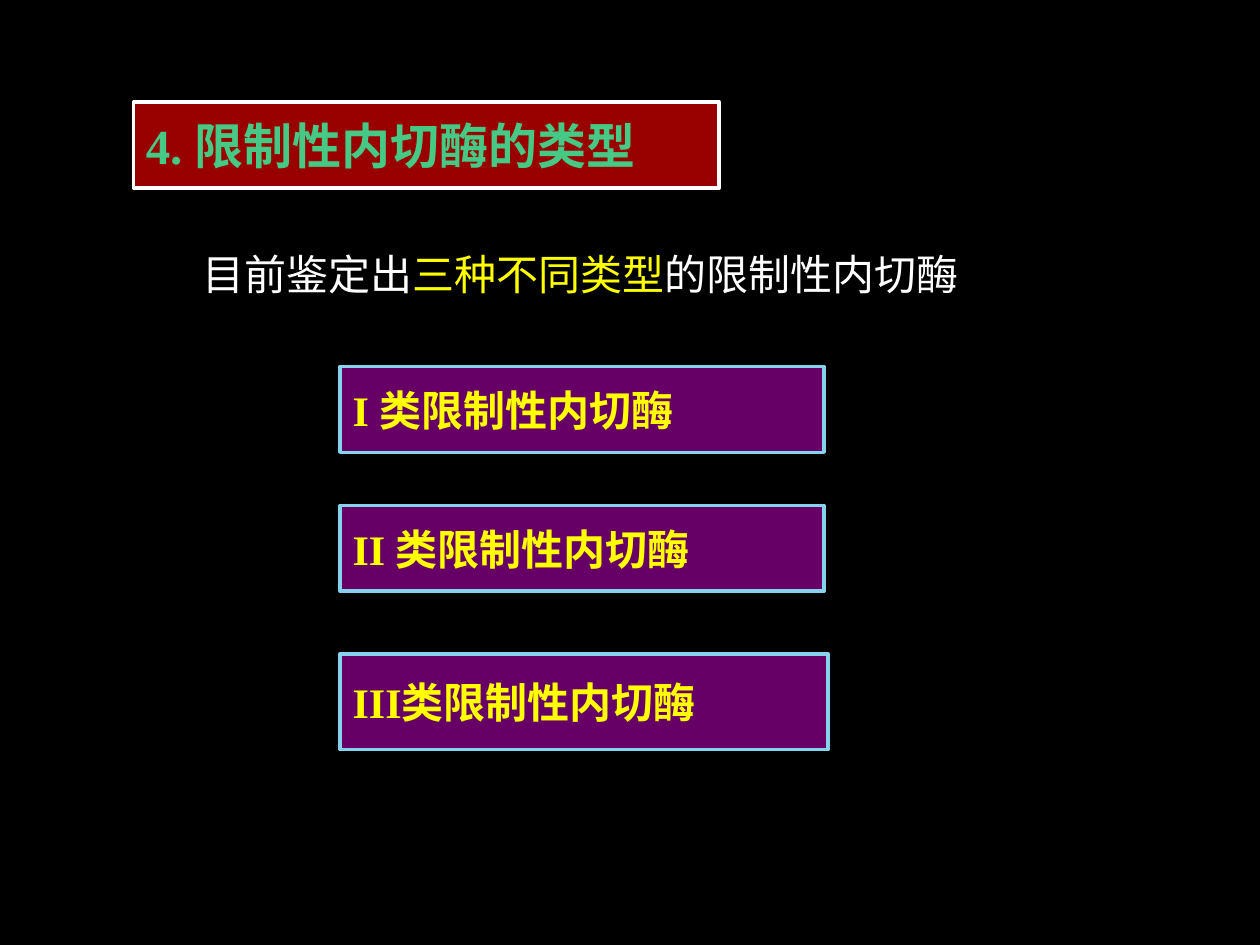
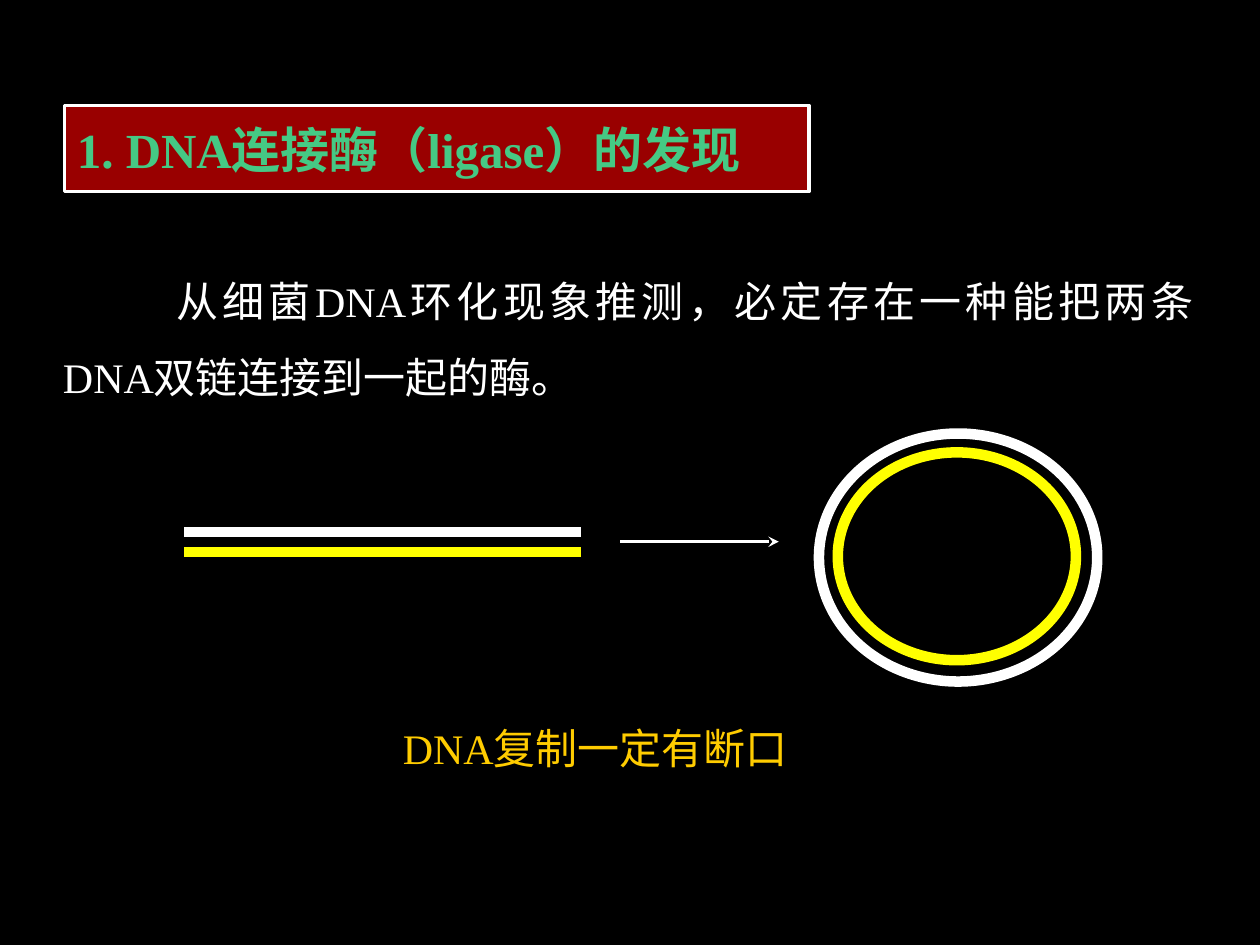
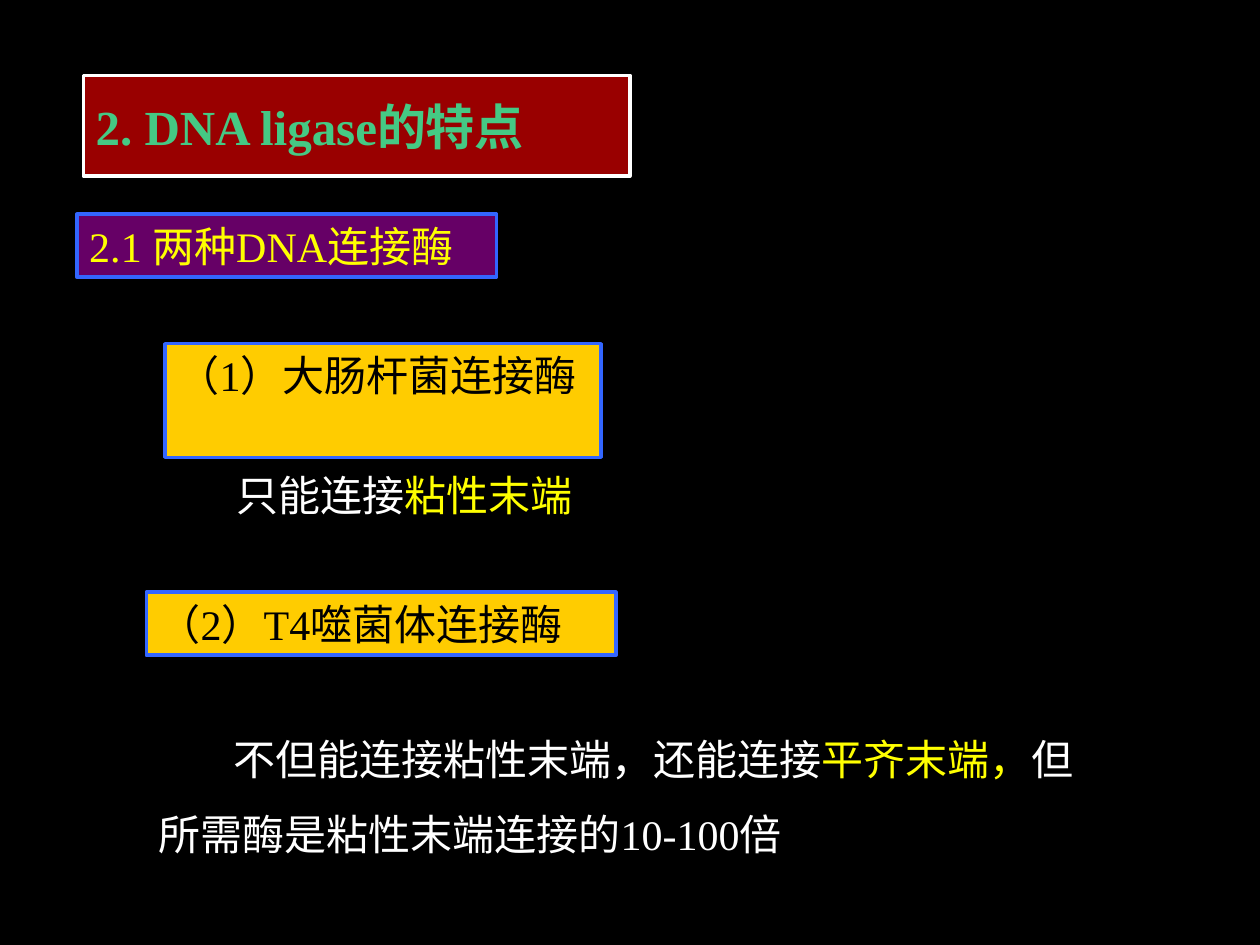
import pptx
import pptx.dml.color
import pptx.enum.shapes
import pptx.enum.text
import pptx.oxml.ns
import pptx.util
from lxml import etree

Cm = pptx.util.Cm
Pt = pptx.util.Pt
RGBColor = pptx.dml.color.RGBColor
Shape = pptx.enum.shapes.MSO_SHAPE
Anchor = pptx.enum.text.MSO_ANCHOR
Align = pptx.enum.text.PP_ALIGN
Fit = pptx.enum.text.MSO_AUTO_SIZE

BLACK = RGBColor(0x00, 0x00, 0x00)
WHITE = RGBColor(0xFF, 0xFF, 0xFF)
YELLOW = RGBColor(0xFF, 0xFF, 0x00)
GOLD = RGBColor(0xFF, 0xCC, 0x00)
GREEN = RGBColor(0x45, 0xC9, 0x84)
RED = RGBColor(0x99, 0x00, 0x00)
PURPLE = RGBColor(0x66, 0x00, 0x66)
SKY = RGBColor(0x86, 0xD1, 0xEC)
BLUE = RGBColor(0x33, 0x66, 0xFF)


class Deck:
    """Hold the shared style and the current slide, and draw elements on it."""

    face = "Times New Roman"
    size = 24
    edge = 2

    def __init__(self):
        self.show = pptx.Presentation()
        self.show.slide_width = Cm(25.4)
        self.show.slide_height = Cm(19.05)

    def page(self):
        self.slide = self.show.slides.add_slide(self.show.slide_layouts[6])
        fill = self.slide.background.fill
        fill.solid()
        fill.fore_color.rgb = BLACK

    def words(self, frame, parts, color, size=size, bold=False):
        para = frame.paragraphs[0]
        para.alignment = Align.LEFT
        font = para.font
        font.name, font.size, font.bold = self.face, Pt(size), bold
        if isinstance(parts, str):
            parts = [(parts, color)]
        for part, tint in parts:
            run = para.add_run()
            run.text = part
            run.font.color.rgb = tint
        return para

    def form(self, kind, box, line, width=edge, fill=None):
        shape = self.slide.shapes.add_shape(kind, *map(Cm, box))
        shape.shadow.inherit = False
        shape.line.color.rgb = line
        shape.line.width = Pt(width)
        if fill is None:
            shape.fill.background()
        else:
            shape.fill.solid()
            shape.fill.fore_color.rgb = fill
        return shape

    def panel(self, box, text, color, fill, line, size=size, bold=True):
        frame = self.form(Shape.RECTANGLE, box, line, fill=fill).text_frame
        frame.word_wrap = True
        frame.vertical_anchor = Anchor.MIDDLE
        self.words(frame, text, color, size, bold)
        return frame

    def title(self, box, text):
        self.panel(box, text, GREEN, RED, WHITE, size=28)

    def label(self, box, text, color, fill, wrap=False):
        frame = self.panel(box, text, color, fill, BLUE, bold=False)
        frame.vertical_anchor = Anchor.TOP
        frame.word_wrap = wrap
        frame.auto_size = Fit.SHAPE_TO_FIT_TEXT

    def text(self, box, parts, color=WHITE, wrap=True):
        frame = self.slide.shapes.add_textbox(*map(Cm, box)).text_frame
        frame.word_wrap = wrap
        frame.auto_size = Fit.SHAPE_TO_FIT_TEXT
        return self.words(frame, parts, color)

    def body(self, box, parts, indent, align=Align.LEFT):
        para = self.text(box, parts)
        para.alignment = align
        para.line_spacing = 1.5
        para._p.get_or_add_pPr().set("indent", str(Cm(indent)))

    def ring(self, box, color):
        self.form(Shape.OVAL, box, color, width=6)

    def line(self, left, right, top, color, width=6, head=None):
        kind = pptx.enum.shapes.MSO_CONNECTOR.STRAIGHT
        link = self.slide.shapes.add_connector(
            kind, Cm(left), Cm(top), Cm(right), Cm(top))
        link.line.color.rgb = color
        link.line.width = Pt(width)
        qn = pptx.oxml.ns.qn
        if head:
            etree.SubElement(link.line._get_or_add_ln(), qn("a:tailEnd"), type=head)
        etree.SubElement(link._element.spPr, qn("a:effectLst"))


def types(deck):
    deck.page()
    deck.title((2.69, 2.06, 11.81, 1.73), "4. 限制性内切酶的类型")
    deck.text((3.84, 4.88, 15.75, 1.27), [
        ("目前鉴定出", WHITE), ("三种不同类型", YELLOW),
        ("的限制性内切酶", WHITE)], wrap=False)
    for mark, top, width, height in (
            ("I ", 7.39, 9.75, 1.73),
            ("II ", 10.19, 9.75, 1.73),
            ("III", 13.18, 9.83, 1.93)):
        deck.panel((6.86, top, width, height), mark + "类限制性内切酶",
                   YELLOW, PURPLE, SKY)


def finding(deck):
    deck.page()
    deck.title((1.3, 2.13, 15.01, 1.73), "1. DNA连接酶（ligase）的发现")
    deck.body((1.02, 4.93, 23.29, 3.3),
              "从细菌DNA环化现象推测，必定存在一种能把两条DNA双链连接到一起的酶。",
              2.28, Align.JUSTIFY)
    deck.ring((16.51, 8.74, 5.61, 5), WHITE)
    deck.ring((16.89, 9.12, 4.8, 4.19), YELLOW)
    for top, color in ((10.72, WHITE), (11.13, YELLOW)):
        deck.line(3.71, 11.71, top, color)
    deck.line(12.5, 15.7, 10.92, WHITE, deck.edge, "stealth")
    deck.text((7.87, 14.45, 8.48, 1.27), "DNA复制一定有断口", GOLD, wrap=False)


def traits(deck):
    deck.page()
    deck.title((1.68, 1.52, 11.02, 2.03), "2. DNA ligase的特点")
    deck.label((1.55, 4.32, 8.46, 1.27), "2.1 两种DNA连接酶", YELLOW, PURPLE)
    deck.label((3.33, 6.93, 8.79, 2.29), "（1）大肠杆菌连接酶",
               BLACK, GOLD, wrap=True)
    deck.text((4.52, 9.35, 12.7, 1.27),
              [("只能连接", WHITE), ("粘性末端", YELLOW)])
    deck.label((2.95, 11.94, 9.47, 1.27), "（2）T4噬菌体连接酶", BLACK, GOLD)
    deck.body((2.95, 14.15, 19.61, 3.3), [
        ("不但能连接粘性末端，还能连接", WHITE), ("平齐末端，", YELLOW),
        ("但所需酶是粘性末端连接的10-100倍", WHITE)], 1.5)


def main():
    deck = Deck()
    types(deck)
    finding(deck)
    traits(deck)
    deck.show.save("out.pptx")


if __name__ == "__main__":
    main()
